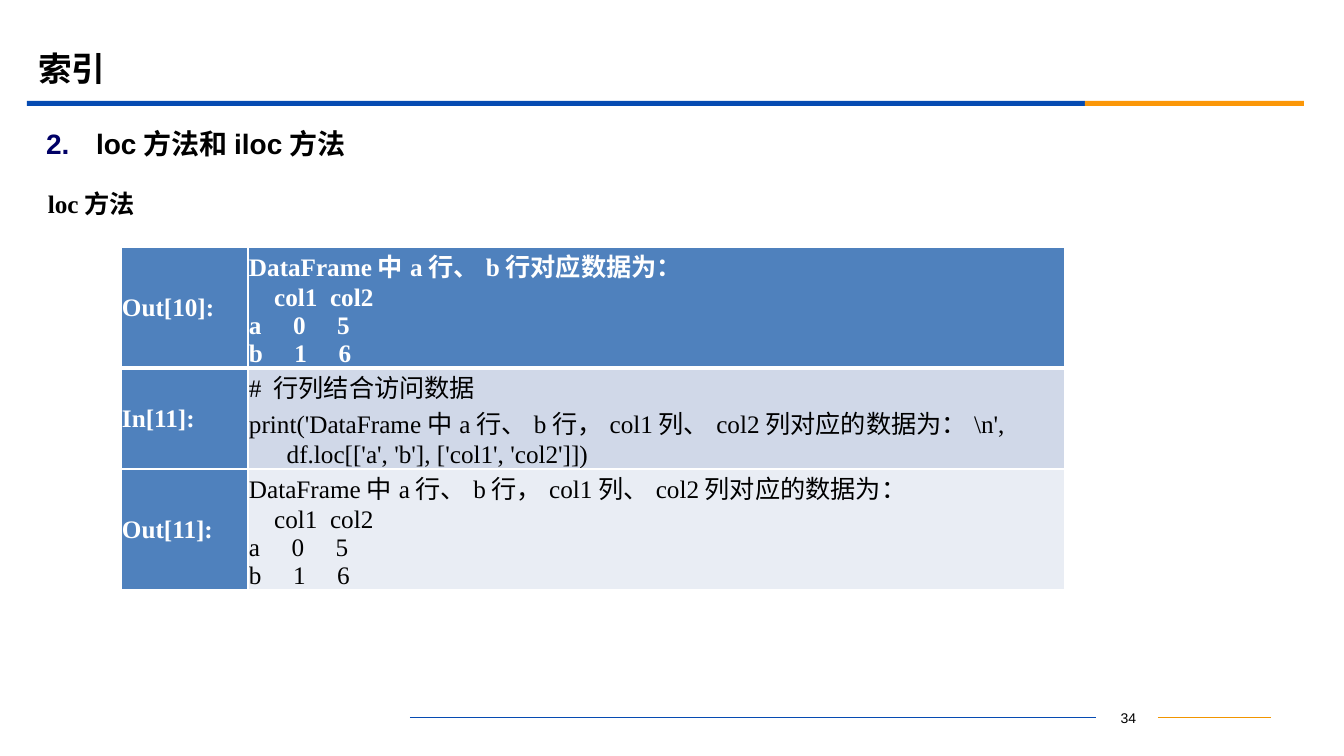
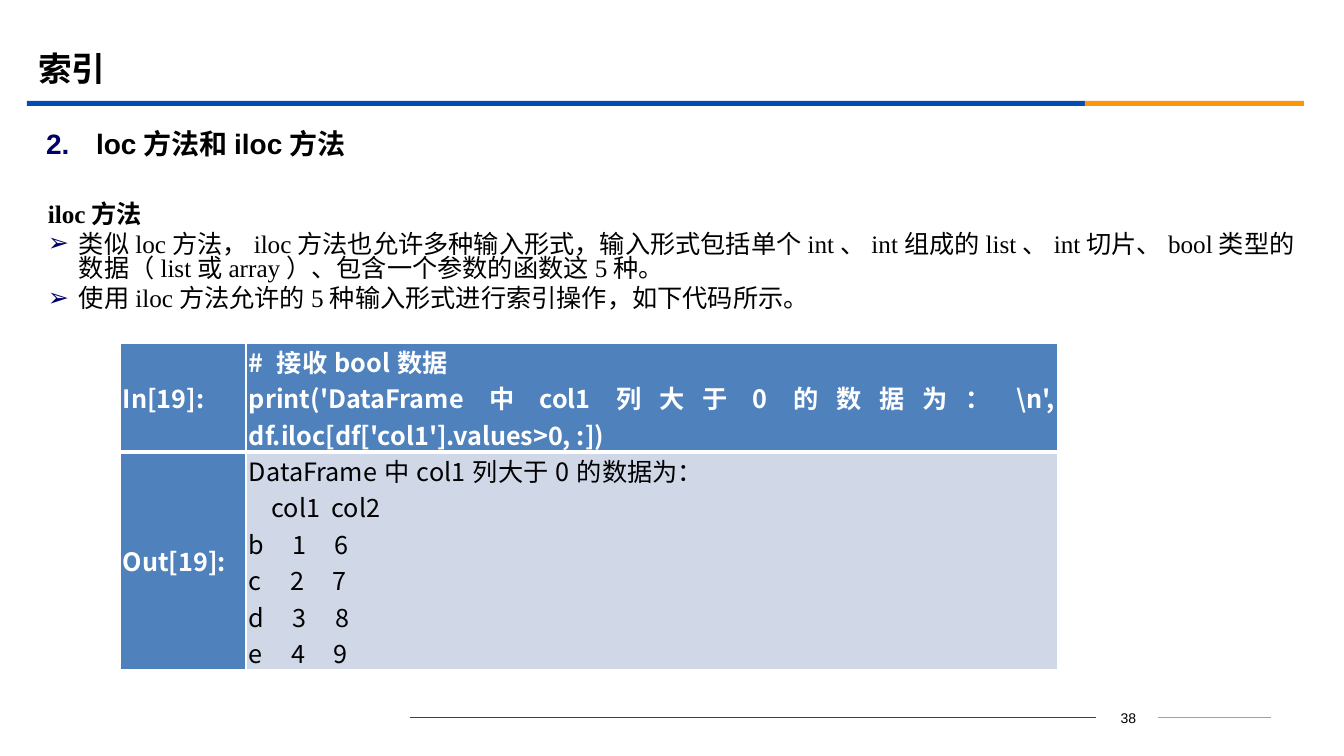
from dataclasses import dataclass

from lxml import etree
from pptx import Presentation
from pptx import util as u
from pptx.dml.color import RGBColor
from pptx.enum import shapes, text
from pptx.oxml import ns

EMU_PER_PIXEL = 914400 / 100.8


def px(length):
    return u.Emu(round(length * EMU_PER_PIXEL))


def add_xml(parent, tag, **attributes):
    return etree.SubElement(parent, ns.qn(tag), attributes)


# Theme
@dataclass(frozen=True)
class Theme:
    ink: str = "000000"
    white: str = "FFFFFF"
    blue: str = "064BB2"
    orange: str = "FB9708"
    footer_orange: str = "F19500"
    bullet: str = "000066"
    label_fill: str = "4F81BD"
    row_fills: tuple = ("4F81BD", "D0D8E8", "E9EDF4")
    sans: str = "Arial"
    serif: str = "Times New Roman"
    chinese: str = "Noto Sans CJK SC"
    title_size: int = 24
    topic_size: int = 20
    text_size: int = 18
    number_size: int = 10


class Builder:
    def __init__(self, theme):
        self.theme = theme
        self.deck = Presentation()
        self.deck.slide_width, self.deck.slide_height = px(1344), px(756)
        self.page = None

    # Text styling
    def style(self, para, size, font, color=None, bold=False):
        for span in para.runs:
            span.font.size = u.Pt(size)
            span.font.bold = bold
            span.font.name = font
            span.font.color.rgb = RGBColor.from_string(color or self.theme.ink)
            add_xml(span.font._element, "a:ea", typeface=self.theme.chinese)

    def bullet(self, para, indent, tag, **attributes):
        properties = para._p.get_or_add_pPr()
        properties.set("marL", str(px(indent)))
        properties.set("indent", str(-px(indent)))
        color = add_xml(properties, "a:buClr")
        add_xml(color, "a:srgbClr", val=self.theme.bullet)
        add_xml(properties, "a:buFont", typeface=self.theme.sans)
        add_xml(properties, tag, **attributes)

    # Shared page parts
    def start_page(self, title, topic, topic_number, page_number):
        theme = self.theme
        self.page = self.deck.slides.add_slide(self.deck.slide_layouts[1])
        self.bar(27, 1058, theme.blue)
        self.bar(1085, 219, theme.orange)
        self.line(1158, 1271, theme.footer_orange)
        self.line(410, 1096, theme.blue)
        self.page_number(page_number)
        self.placeholder(0, (28, 39, 1210, 58), title, theme.title_size)
        para = self.placeholder(1, (36, 120, 1225, 47), topic, theme.topic_size)
        self.bullet(para, 50, "a:buAutoNum", type="arabicPeriod",
                    startAt=str(topic_number))

    def placeholder(self, index, area, words, size):
        box = self.page.placeholders[index]
        box.left, box.top, box.width, box.height = map(px, area)
        frame = box.text_frame
        frame.text = words
        frame.auto_size = text.MSO_AUTO_SIZE.NONE
        frame.vertical_anchor = text.MSO_ANCHOR.MIDDLE
        para = frame.paragraphs[0]
        para.alignment = text.PP_ALIGN.LEFT
        self.style(para, size, self.theme.sans, bold=True)
        return para

    def bar(self, left, width, color):
        box = self.page.shapes.add_shape(
            shapes.MSO_SHAPE.RECTANGLE, px(left), px(101), px(width), px(5))
        box.shadow.inherit = False
        box.fill.solid()
        box.fill.fore_color.rgb = RGBColor.from_string(color)
        box.line.fill.background()

    def line(self, start, end, color):
        rule = self.page.shapes.add_connector(
            shapes.MSO_CONNECTOR.STRAIGHT, px(start), px(718), px(end), px(718))
        rule.line.color.rgb = RGBColor.from_string(color)
        rule.line.width = u.Pt(0.75)
        add_xml(rule._element.spPr, "a:effectLst")

    def page_number(self, number):
        box = self.page.shapes.add_textbox(px(1097), px(705), px(63), px(25))
        box.text_frame.word_wrap = True
        para = box.text_frame.paragraphs[0]
        para.text = str(number)
        para.alignment = text.PP_ALIGN.CENTER
        self.style(para, self.theme.number_size, self.theme.sans)

    # Heading with optional arrow points
    def text_block(self, top, height, heading, points=()):
        box = self.page.shapes.add_textbox(px(38), px(top), px(1268), px(height))
        frame = box.text_frame
        frame.word_wrap = True
        frame.vertical_anchor = text.MSO_ANCHOR.MIDDLE
        frame.text = "\n".join((heading, *points))
        for index, para in enumerate(frame.paragraphs):
            para.space_before = u.Pt(3.6)
            para.line_spacing = 0.82
            self.style(para, self.theme.text_size, self.theme.serif, bold=index == 0)
            if index:
                self.bullet(para, 31, "a:buChar", char="➢")

    # Code table
    def code_table(self, left, top, widths, heights, rows, font, margin):
        theme = self.theme
        table = self.page.shapes.add_table(
            len(rows), 2, px(left), px(top), px(sum(widths)), px(sum(heights))).table
        table.first_row = table.horz_banding = False
        for column, width in zip(table.columns, widths):
            column.width = px(width)
        for index, (label, lines) in enumerate(rows):
            table.rows[index].height = px(heights[index])
            label_cell, code_cell = table.rows[index].cells
            self.cell(label_cell, index, label, theme.label_fill, font, margin, True)
            self.cell(code_cell, index, "\n".join(lines), theme.row_fills[index],
                      font, margin, index == 0)
            for para in code_cell.text_frame.paragraphs:
                para.alignment = text.PP_ALIGN.JUSTIFY

    def cell(self, cell, row, words, fill, font, margin, strong):
        theme = self.theme
        cell.margin_left = cell.margin_right = px(margin)
        cell.margin_top = cell.margin_bottom = 0
        cell.vertical_anchor = text.MSO_ANCHOR.MIDDLE
        thick_side = {0: "B", 1: "T"}.get(row)
        for side in "LRTB":
            width = u.Pt(3 if side == thick_side else 1)
            border = add_xml(cell._tc.get_or_add_tcPr(), f"a:ln{side}", w=str(width))
            add_xml(add_xml(border, "a:solidFill"), "a:srgbClr", val=theme.white)
        cell.fill.solid()
        cell.fill.fore_color.rgb = RGBColor.from_string(fill)
        cell.text_frame.text = words
        for para in cell.text_frame.paragraphs:
            self.style(para, theme.text_size, font,
                       theme.white if strong else theme.ink, strong)


theme = Theme()
builder = Builder(theme)
TITLE, TOPIC = "索引", "loc方法和iloc方法"
COLUMN_HEADS = "    col1  col2"


def frame_rows(names, first, second):
    """Printed data rows whose two values rise by one per row."""
    return [f"{name}     {first + step}     {second + step}"
            for step, name in enumerate(names)]


# Page 34: loc
builder.start_page(TITLE, TOPIC, 2, 34)
builder.text_block(172, 69, "loc方法")
builder.code_table(121, 247, (127, 817), (120, 101, 119), [
    ("Out[10]:", ["DataFrame中a行、b行对应数据为：", COLUMN_HEADS,
                  *frame_rows("ab", 0, 5)]),
    ("In[11]:", ["# 行列结合访问数据",
                 "print('DataFrame中a行、b行，col1列、col2列对应的数据为：\\n',",
                 "      df.loc[['a', 'b'], ['col1', 'col2']])"]),
    ("Out[11]:", ["DataFrame中a行、b行，col1列、col2列对应的数据为：", COLUMN_HEADS,
                  *frame_rows("ab", 0, 5)]),
], theme.serif, 1)

# Page 38: iloc
builder.start_page(TITLE, TOPIC, 2, 38)
builder.text_block(174, 168, "iloc方法", [
    "类似loc方法，iloc方法也允许多种输入形式，输入形式包括单个int、int组成的list、int切片、"
    "bool类型的数据（list或array）、包含一个参数的函数这5种。",
    "使用iloc方法允许的5种输入形式进行索引操作，如下代码所示。",
])
builder.code_table(120, 343, (126, 812), (109, 218), [
    ("In[19]:", ["# 接收bool数据",
                 "print('DataFrame中col1列大于0的数据为：\\n', "
                 "df.iloc[df['col1'].values>0, :])"]),
    ("Out[19]:", ["DataFrame中col1列大于0的数据为：", COLUMN_HEADS,
                  *frame_rows("bcde", 1, 6)]),
], theme.chinese, 3)

builder.deck.save("out.pptx")
